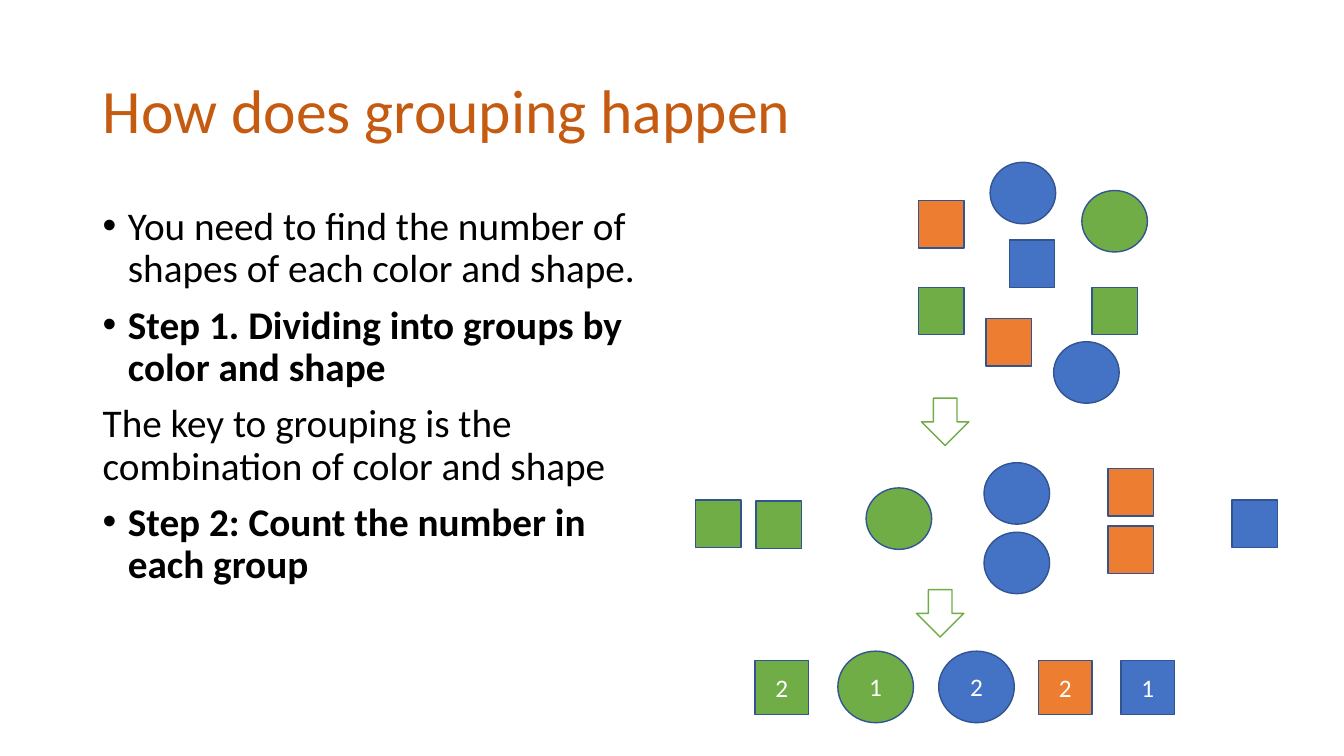
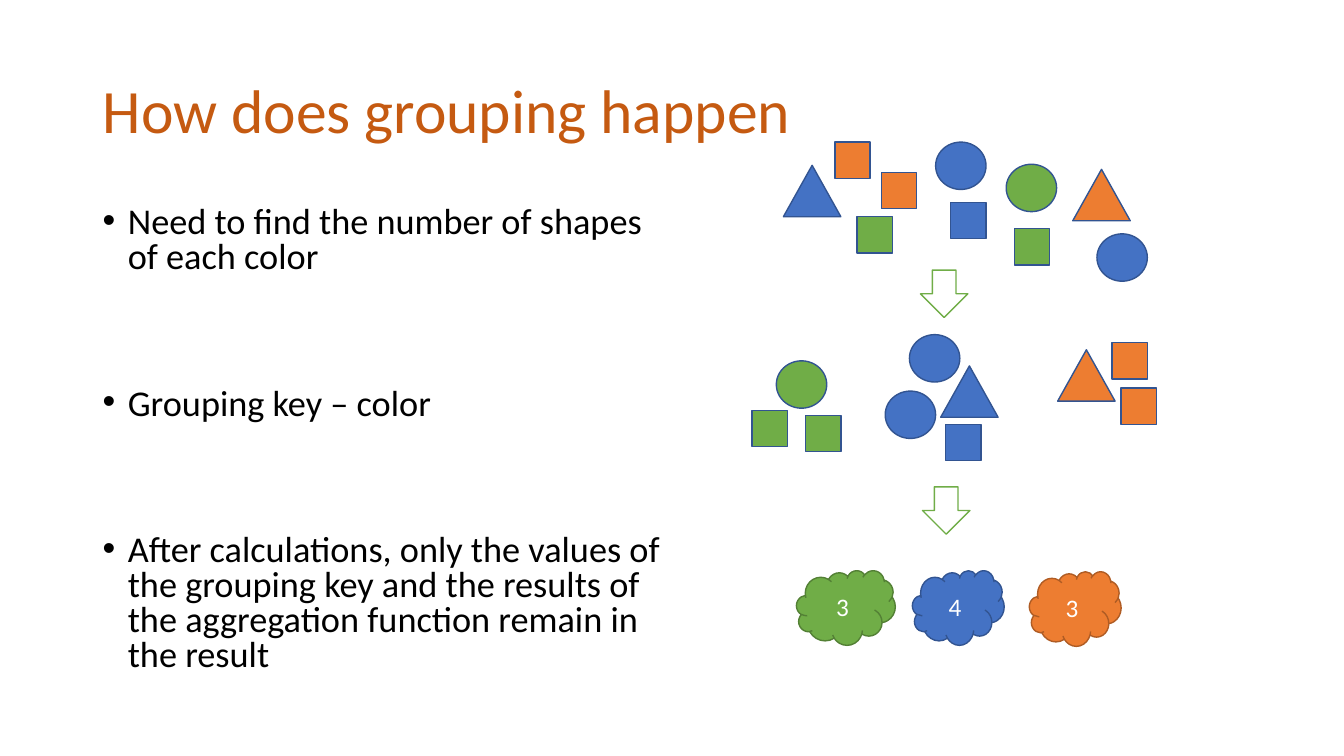
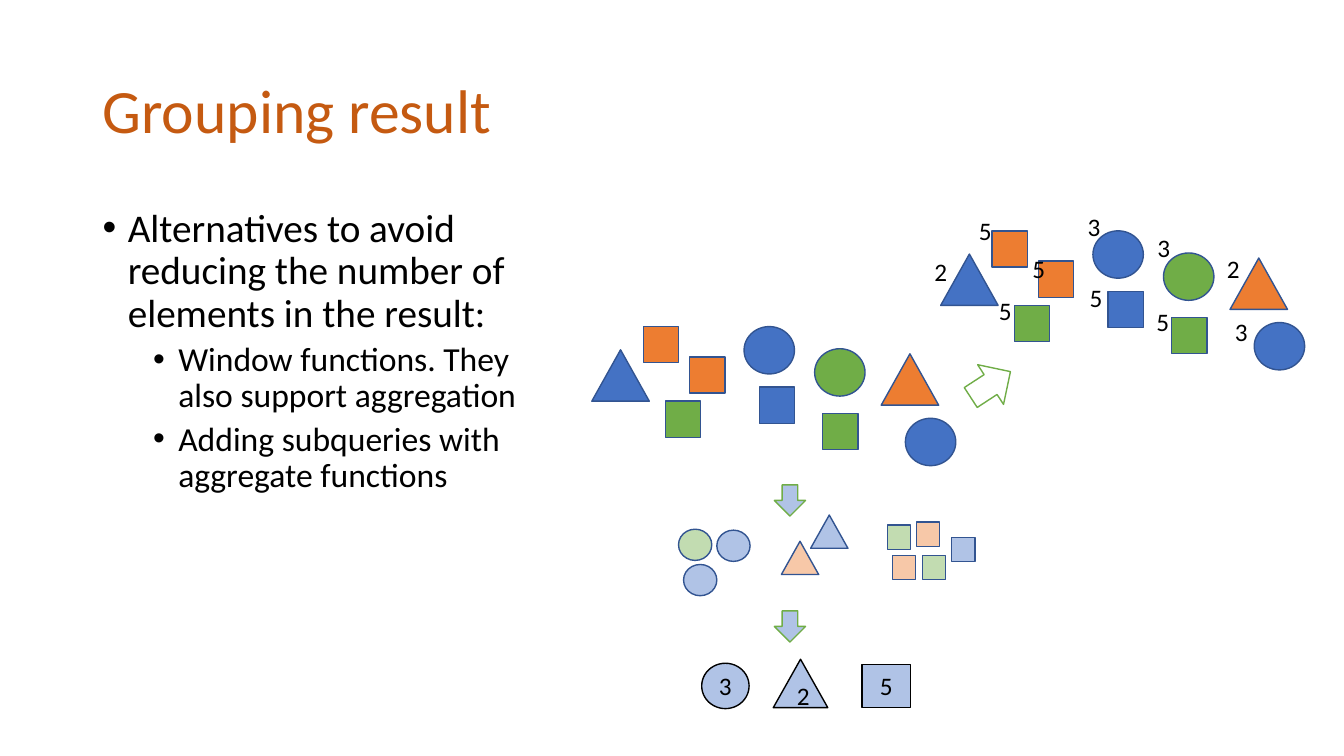
from dataclasses import dataclass

from lxml.etree import SubElement
from pptx import Presentation
from pptx.dml.color import RGBColor
from pptx.enum.shapes import MSO_SHAPE
from pptx.enum.text import MSO_ANCHOR, MSO_AUTO_SIZE, PP_ALIGN
from pptx.oxml.ns import qn
from pptx.util import Pt

PX = 9144

BOX = MSO_SHAPE.RECTANGLE
DISC = MSO_SHAPE.OVAL
PEAK = MSO_SHAPE.ISOSCELES_TRIANGLE
CLOUD = MSO_SHAPE.CLOUD
ARROW = MSO_SHAPE.DOWN_ARROW


@dataclass(frozen=True)
class Theme:
    font: str = "Calibri"
    title: str = "C55A11"
    ink: str = "000000"
    white: str = "FFFFFF"
    green: str = "70AD47"
    blue: str = "4472C4"
    orange: str = "ED7D31"
    edge: str = "325491"
    moss: str = "538035"
    rust: str = "AF5C24"
    head: float = 44
    body: float = 28
    tight: float = 25.9
    sub: float = 24
    label: float = 18
    fade: int = 42


T = Theme()
G, B, O = T.green, T.blue, T.orange

SMALL = {BOX: (35, 36), DISC: (50, 47), PEAK: (57, 51)}
LARGE = {BOX: (45, 47), DISC: (65, 61)}
TINY = {BOX: (23, 24), DISC: (33, 31), PEAK: (37, 33)}

MIXED = [
    (BOX, B, 943, 201), (BOX, O, 874, 171), (BOX, G, 1006, 227),
    (BOX, G, 850, 215), (BOX, O, 828, 141), (DISC, B, 1088, 232),
    (DISC, B, 928, 141), (DISC, G, 998, 163), (PEAK, O, 1064, 168),
    (PEAK, B, 777, 164),
]


class Deck:
    def __init__(self):
        self.show = Presentation()
        self.show.slide_width = 1333 * PX
        self.show.slide_height = 750 * PX
        self.slide = None

    def start(self, title):
        self.slide = self.show.slides.add_slide(self.show.slide_layouts[6])
        frame = self.frame(92, 40, 1150, 145)
        frame.vertical_anchor = MSO_ANCHOR.MIDDLE
        para = frame.paragraphs[0]
        para.line_spacing = 0.9
        self.letter(para, title, T.head, T.title)

    def frame(self, x, y, wide, high):
        box = self.slide.shapes.add_textbox(x * PX, y * PX, wide * PX, high * PX)
        box.text_frame.word_wrap = True
        return box.text_frame

    def letter(self, para, text, size, color, bold=False):
        para.text = text
        for run in para.runs:
            run.font.name = T.font
            run.font.size = Pt(size)
            run.font.bold = bold
            run.font.color.rgb = RGBColor.from_string(color)

    def bullet(self, para, left):
        props = para._p.get_or_add_pPr()
        props.set("marL", str(left * PX))
        props.set("indent", str(-25 * PX))
        SubElement(props, qn("a:buFont"), typeface="Arial")
        SubElement(props, qn("a:buChar"), char="•")

    def body(self, place, lines, size=T.body, pitch=0.9, gap=10):
        frame = self.frame(*place)
        for rank, (kind, text) in enumerate(lines):
            para = frame.add_paragraph() if rank else frame.paragraphs[0]
            sub = kind == "sub"
            para.line_spacing = pitch
            para.space_before = Pt((5 if sub else gap) if rank else 0)
            if kind != "plain":
                self.bullet(para, 75 if sub else 25)
            self.letter(para, text, T.sub if sub else size, T.ink, kind == "bold")

    def shape(self, kind, fill, x, y, size, edge=T.edge, text="", ink=T.white,
              fade=None, turn=0):
        wide, high = size
        item = self.slide.shapes.add_shape(kind, x * PX, y * PX, wide * PX, high * PX)
        item.shadow.inherit = False
        item.rotation = turn
        item.fill.solid()
        item.fill.fore_color.rgb = RGBColor.from_string(fill)
        item.line.color.rgb = RGBColor.from_string(edge)
        item.line.width = Pt(1)
        if fade:
            tint = item._element.spPr.find(qn("a:solidFill")).find(qn("a:srgbClr"))
            SubElement(tint, qn("a:alpha"), val=str(fade * 1000))
        if text:
            para = item.text_frame.paragraphs[0]
            para.alignment = PP_ALIGN.CENTER
            self.letter(para, text, T.label, ink)

    def spread(self, items, sizes, right=0, down=0, fade=None):
        for kind, fill, x, y in items:
            self.shape(kind, fill, x + right, y + down, sizes[kind], fade=fade)

    def arrow(self, x, y, turn=0):
        self.shape(ARROW, T.white, x, y, (47, 47), edge=G, turn=turn)

    def label(self, text, x, y):
        frame = self.frame(x, y, 33, 40)
        frame.word_wrap = False
        frame.auto_size = MSO_AUTO_SIZE.SHAPE_TO_FIT_TEXT
        self.letter(frame.paragraphs[0], text, T.label, T.ink)


def by_both(deck):
    deck.start("How does grouping happen")
    deck.body((92, 200, 552, 476), [
        ("item", "You need to find the number of shapes of each color and shape."),
        ("bold", "Step 1. Dividing into groups by color and shape"),
        ("plain", "The key to grouping is the combination of color and shape"),
        ("bold", "Step 2: Count the number in each group"),
    ])
    deck.spread([
        (BOX, B, 1001, 238), (BOX, O, 911, 199), (BOX, G, 1083, 285),
        (BOX, G, 911, 285), (BOX, O, 978, 316), (DISC, B, 1045, 339),
        (DISC, B, 982, 161), (DISC, G, 1073, 189),
        (BOX, G, 750, 497), (BOX, G, 690, 496), (DISC, G, 859, 484),
        (DISC, B, 976, 528), (DISC, B, 976, 459), (BOX, O, 1099, 522),
        (BOX, O, 1099, 465), (BOX, B, 1222, 496),
    ], LARGE)
    deck.arrow(914, 395)
    deck.arrow(909, 585)
    for fill, x, count in [(G, 749, "2"), (O, 1030, "2"), (B, 1112, "1")]:
        deck.shape(BOX, fill, x, 655, (53, 54), text=count)
    for fill, x, count in [(G, 831, "1"), (B, 931, "2")]:
        deck.shape(DISC, fill, x, 646, (75, 71), text=count)


def by_color(deck):
    deck.start("How does grouping happen")
    deck.body((92, 200, 576, 510), [
        ("item", "Need to find the number of shapes of each color"),
        ("item", "Grouping key – color"),
        ("item", "After calculations, only the values of the grouping key "
                 "and the results of the aggregation function remain in the result"),
    ], size=T.tight, pitch=0.8, gap=80)
    deck.spread(MIXED, SMALL)
    deck.spread([
        (DISC, G, 770, 358), (BOX, G, 799, 412), (BOX, G, 746, 407),
        (DISC, B, 878, 388), (DISC, B, 902, 332), (PEAK, B, 933, 363),
        (BOX, B, 938, 421), (PEAK, O, 1049, 347), (BOX, O, 1112, 385),
        (BOX, O, 1103, 340),
    ], SMALL)
    deck.arrow(913, 268)
    deck.arrow(915, 483)
    for fill, edge, x, y, wide, count in [
        (G, T.moss, 790, 566, 98, "3"),
        (B, T.edge, 905, 566, 91, "4"),
        (O, T.rust, 1021, 567, 91, "3"),
    ]:
        deck.shape(CLOUD, fill, x, y, (wide, 74), edge=edge, text=count)


def result(deck):
    deck.start("Grouping result")
    deck.body((92, 202, 466, 509), [
        ("item", "Alternatives to avoid reducing the number of elements in the result:"),
        ("sub", "Window functions. They also support aggregation"),
        ("sub", "Adding subqueries with aggregate functions"),
    ])
    deck.spread(MIXED, SMALL, right=-190, down=183)
    deck.spread(MIXED, SMALL, right=156, down=88)
    deck.arrow(959, 358, turn=236.9)
    deck.spread([
        (DISC, G, 673, 525), (DISC, B, 711, 526), (DISC, B, 678, 560),
        (PEAK, B, 804, 511), (PEAK, O, 775, 537),
        (BOX, G, 880, 521), (BOX, G, 915, 551), (BOX, O, 885, 551),
        (BOX, O, 909, 518), (BOX, B, 944, 533),
    ], TINY, fade=T.fade)
    for y in (481, 606):
        deck.shape(ARROW, B, 768, y, (31, 31), edge=G, fade=T.fade)
    for kind, x, y, size, count in [
        (DISC, 696, 658, (47, 45), "3"),
        (PEAK, 767, 654, (54, 48), "2"),
        (BOX, 855, 659, (48, 43), "5"),
    ]:
        deck.shape(kind, B, x, y, size, edge=T.ink, text=count, ink=T.ink,
                   fade=T.fade)
    for count, spots in {
        "2": [(917, 249), (1207, 246)],
        "5": [(981, 288), (1014, 246), (961, 209), (1071, 275), (1137, 299)],
        "3": [(1215, 309), (1138, 226), (1069, 205)],
    }.items():
        for x, y in spots:
            deck.label(count, x, y)


def main():
    deck = Deck()
    by_both(deck)
    by_color(deck)
    result(deck)
    deck.show.save("out.pptx")


if __name__ == "__main__":
    main()
